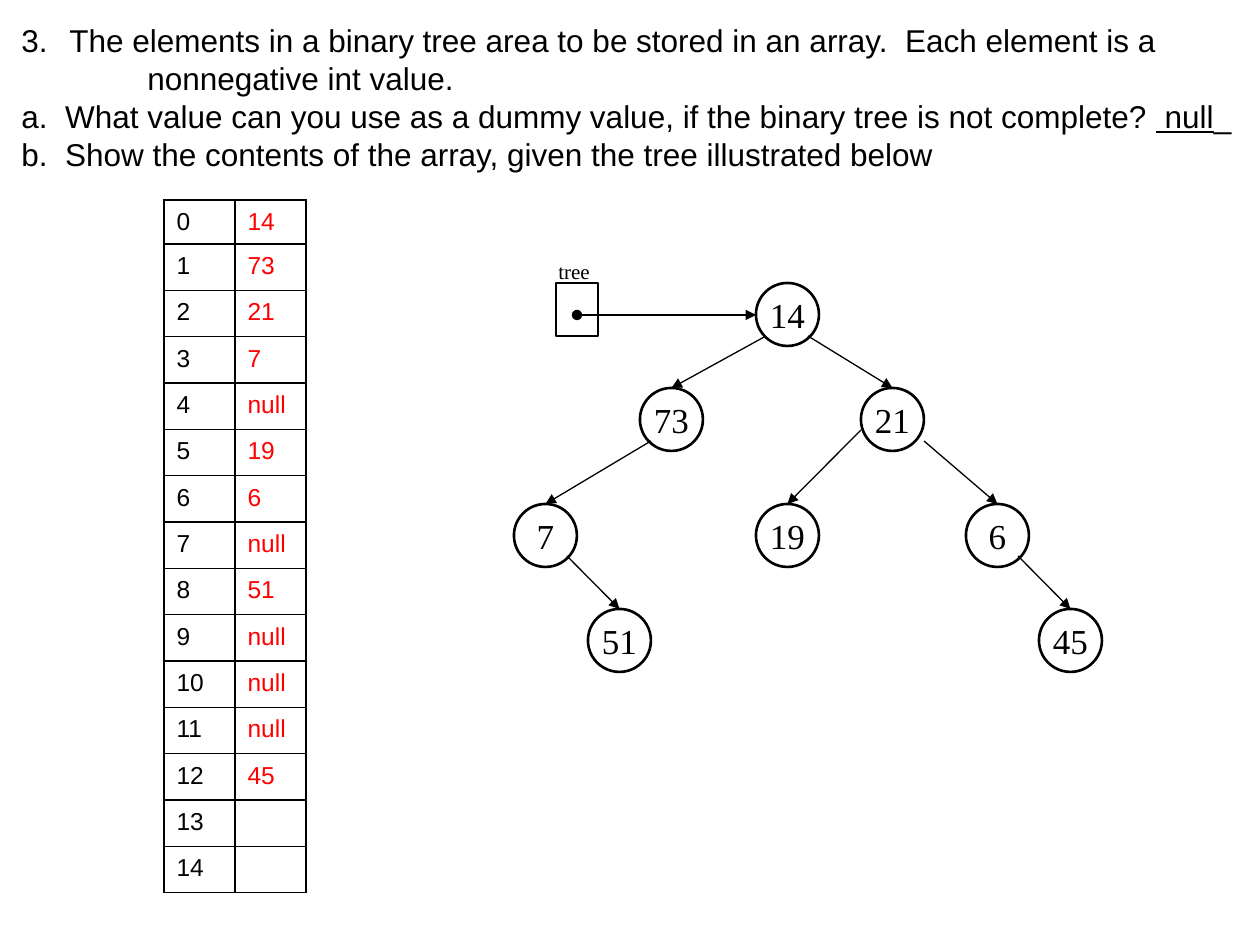
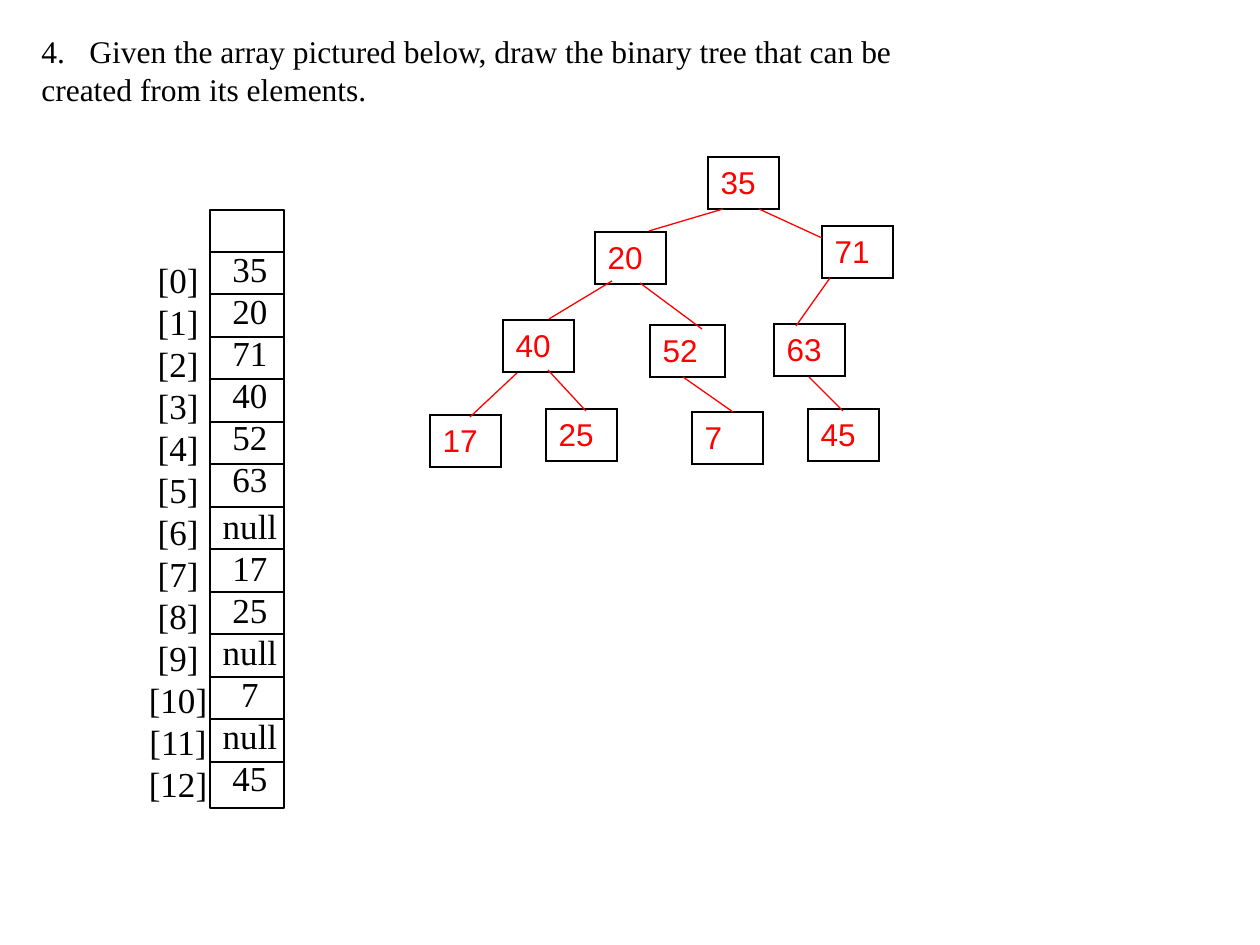
from lxml.etree import SubElement
from pptx import Presentation
from pptx.dml.color import RGBColor
from pptx.enum.shapes import MSO_CONNECTOR, MSO_SHAPE
from pptx.enum.text import MSO_ANCHOR, PP_ALIGN
from pptx.oxml.ns import qn
from pptx.util import Pt

PX = 7257  # EMU in one px, 126 px to the inch
BLACK, RED = "000000", "FF0000"
SANS, SERIF = "Arial", "Times New Roman"
LEFT, CENTER = PP_ALIGN.LEFT, PP_ALIGN.CENTER
INDENT = 48
rgb = RGBColor.from_string


def write(frame, lines, size, font, colour=BLACK, align=LEFT, wrap=False):
    frame.word_wrap = wrap
    for index, line in enumerate(lines):
        para = frame.add_paragraph() if index else frame.paragraphs[0]
        para.text = line
        para.alignment = align
        para.line_spacing = Pt(size * 1.2)
        para.font.size = Pt(size)
        para.font.name = font
        para.font.color.rgb = rgb(colour)
    return frame.paragraphs


def draw_line(page, start, end, colour=BLACK, **arrowheads):
    line = page.shapes.add_connector(
        MSO_CONNECTOR.STRAIGHT, *(length * PX for length in start + end))
    line.line.color.rgb = rgb(colour)
    line.line.width = Pt(0.75)
    outline = line.line._get_or_add_ln()
    for side, kind in arrowheads.items():
        SubElement(outline, qn(f"a:{side}"), type=kind)
    SubElement(line._element.spPr, qn("a:effectLst"))
    return line


deck = Presentation()
deck.slide_width, deck.slide_height = 1260 * PX, 945 * PX
tree_page, array_page = (deck.slides.add_slide(deck.slide_layouts[6]) for _ in range(2))

# Questions
box = tree_page.shapes.add_textbox(9 * PX, 15 * PX, 1246 * PX, 165 * PX)
tree_question = write(box.text_frame, [
    "The elements in a binary tree area to be stored in an array.  Each element is a",
    "nonnegative int value.",
    "a.  What value can you use as a dummy value, if the binary tree is not complete? ",
    "b.  Show the contents of the array, given the tree illustrated below",
], 18, SANS)
answer = tree_question[2].add_run()
answer.text = " null"
answer.font.underline = True
tree_question[2].add_run().text = "_"

box = array_page.shapes.add_textbox(29 * PX, 26 * PX, 885 * PX, 89 * PX)
array_question = write(box.text_frame, [
    "Given the array pictured below, draw the binary tree that can be",
    "created from its elements.",
], 18, SERIF)

# Hanging indents and question numbers
for para, margin, number in [
    (tree_question[0], INDENT, 3),
    (tree_question[1], 126 + INDENT, None),
    (tree_question[2], INDENT, None),
    (tree_question[3], INDENT, None),
    (array_question[0], INDENT, 4),
]:
    properties = para._p.get_or_add_pPr()
    properties.set("marL", str(margin * PX))
    properties.set("indent", str(-INDENT * PX))
    if number:
        bullet = properties.makeelement(
            qn("a:buAutoNum"), {"type": "arabicPeriod", "startAt": str(number)})
        properties.find(qn("a:defRPr")).addprevious(bullet)

# Linked tree: circles
circles = {}
for value, left, top in [
    (14, 756, 283), (73, 640, 388), (21, 861, 388), (7, 514, 504),
    (51, 588, 609), (19, 756, 504), (6, 966, 504), (45, 1039, 609),
]:
    circle = tree_page.shapes.add_shape(
        MSO_SHAPE.OVAL, left * PX, top * PX, 63 * PX, 63 * PX)
    circle.shadow.inherit = False
    circle.fill.background()
    circle.line.color.rgb = rgb(BLACK)
    circle.line.width = Pt(1.5)
    circle.text_frame.vertical_anchor = MSO_ANCHOR.MIDDLE
    write(circle.text_frame, [str(value)], 20, SERIF, align=CENTER)
    circles[value] = circle

# Linked tree: arrows to the top of each child
for start, child in [
    ((766, 336), 73), ((808, 336), 21), ((651, 441), 7), ((861, 430), 19),
    ((567, 556), 51), ((924, 441), 6), ((1018, 556), 45),
]:
    arrow = draw_line(tree_page, start, start, tailEnd="triangle")
    arrow.end_connect(circles[child], 0)

# Pointer cell and frame of the array
for page, left, top, width, height in [
    (tree_page, 556, 283, 42, 53),
    (array_page, 210, 210, 74, 598),
]:
    frame = page.shapes.add_shape(
        MSO_SHAPE.RECTANGLE, left * PX, top * PX, width * PX, height * PX)
    frame.shadow.inherit = False
    frame.fill.background()
    frame.line.color.rgb = rgb(BLACK)
    frame.line.width = Pt(0.75)
draw_line(tree_page, (577, 315), (756, 315), headEnd="oval", tailEnd="triangle")
box = tree_page.shapes.add_textbox(546 * PX, 252 * PX, 57 * PX, 38 * PX)
write(box.text_frame, ["tree"], 12, SERIF)

# Array: dividers, indices and values
for index in range(13):
    divider_y = 252 + index * 85 // 2
    draw_line(array_page, (210, divider_y), (284, divider_y))
box = array_page.shapes.add_textbox(136 * PX, 252 * PX, 84 * PX, 564 * PX)
write(box.text_frame, [f"[{index}]" for index in range(13)], 20, SERIF,
      align=CENTER, wrap=True)
box = array_page.shapes.add_textbox(210 * PX, 241 * PX, 80 * PX, 564 * PX)
values = write(box.text_frame, "35 20 71 40 52 63 null 17 25 null 7 null 45".split(),
               20, SERIF, align=CENTER, wrap=True)
values[6].space_before = Pt(3)

# Answer tables: the stored array, then one cell for each tree node
stored = "14 73 21 7 null 19 6 null 51 null null null 45".split() + ["", ""]
tables = [(tree_page, 164, 200, 71, 14, [44 * PX] + [649 * PX // 14] * 14,
           [(str(index), value) for index, value in enumerate(stored)])]
for value, left, top in [
    (35, 708, 157), (20, 595, 232), (71, 822, 226), (40, 503, 320), (52, 650, 325),
    (63, 774, 324), (17, 430, 415), (25, 546, 409), (7, 692, 412), (45, 808, 409),
]:
    width = 75 if value == 52 else 71
    tables.append((array_page, left, top, width, 18, [52 * PX], [(str(value),)]))

for page, left, top, width, size, heights, rows in tables:
    columns = len(rows[0])
    table = page.shapes.add_table(
        len(rows), columns, left * PX, top * PX, columns * width * PX, sum(heights)).table
    table.first_row = table.horz_banding = False
    for row, height, texts in zip(table.rows, heights, rows):
        row.height = height
        for column, (cell, text) in enumerate(zip(row.cells, texts)):
            cell.margin_bottom = 0
            colour = RED if column == columns - 1 else BLACK
            write(cell.text_frame, [text], size, SANS, colour, wrap=True)
            properties = cell._tc.get_or_add_tcPr()
            for side in ("lnL", "lnR", "lnT", "lnB"):
                border = SubElement(properties, qn(f"a:{side}"), w=str(Pt(1)))
                fill = SubElement(border, qn("a:solidFill"))
                SubElement(fill, qn("a:srgbClr"), val=BLACK)
            cell.fill.background()

# Branches of the answer tree
for start, end in [
    ((723, 209), (649, 231)), ((759, 209), (822, 238)), ((830, 278), (796, 326)),
    ((612, 281), (549, 319)), ((702, 329), (640, 283)), ((470, 417), (517, 373)),
    ((586, 411), (548, 370)), ((733, 412), (683, 377)), ((843, 411), (809, 377)),
]:
    draw_line(array_page, start, end, RED)

deck.save("out.pptx")
